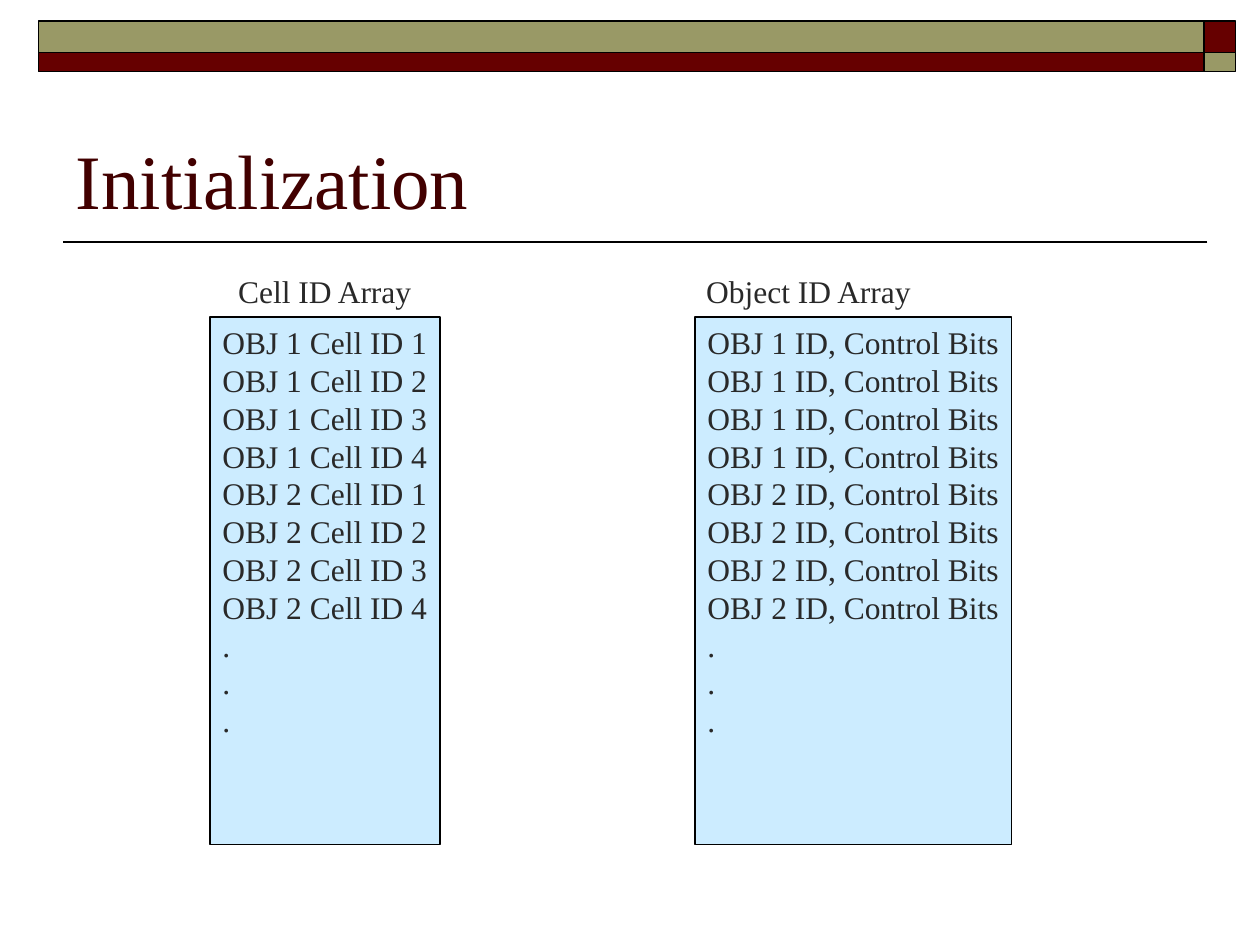
from dataclasses import dataclass
from pptx import Presentation
from pptx.dml.color import RGBColor as Rgb
from pptx.enum import shapes, text
from pptx.oxml import xmlchemy as xml
from pptx.util import Pt


@dataclass(frozen=True)
class Theme:
    """Colours, font and type sizes of the slide."""
    wine: Rgb = Rgb(0x66, 0x00, 0x00)
    olive: Rgb = Rgb(0x99, 0x99, 0x66)
    ice: Rgb = Rgb(0xCC, 0xEC, 0xFF)
    line: Rgb = Rgb(0x00, 0x00, 0x00)
    title: Rgb = Rgb(0x42, 0x00, 0x00)
    ink: Rgb = Rgb(0x29, 0x29, 0x29)
    face: str = "Times New Roman"
    head: float = 44
    body: float = 18
    lead: float = 21.6


THEME = Theme()


def style(para, size, color):
    """Set the font of a paragraph."""
    font = para.font
    font.name, font.size, font.color.rgb = THEME.face, Pt(size), color
    para.alignment = text.PP_ALIGN.LEFT


def rect(slide, box, fill, width):
    """Add a filled, outlined rectangle."""
    item = slide.shapes.add_shape(shapes.MSO_SHAPE.RECTANGLE, *map(Pt, box))
    item.shadow.inherit = False
    item.fill.solid()
    item.fill.fore_color.rgb = fill
    item.line.color.rgb = THEME.line
    item.line.width = Pt(width)


def label(slide, box, rows):
    """Add a text box with one paragraph per row."""
    frame = slide.shapes.add_textbox(*map(Pt, box)).text_frame
    frame.word_wrap = False
    frame.auto_size = text.MSO_AUTO_SIZE.SHAPE_TO_FIT_TEXT
    frame.text = "\n".join(rows)
    for para in frame.paragraphs:
        style(para, THEME.body, THEME.ink)
        para.line_spacing = Pt(THEME.lead)


def banner(slide, box):
    """Draw the two-row band with a contrasting square end."""
    left, top, width, height = box
    end = 18
    for y, high, main, tip in (
        (top, end, THEME.olive, THEME.wine),
        (top + end, height - end, THEME.wine, THEME.olive),
    ):
        rect(slide, (left, y, width - end, high), main, 1)
        rect(slide, (left + width - end, y, end, high), tip, 1)


def heading(slide, box, words):
    """Place the title and the rule below it."""
    left, top, width, height = box
    title = slide.shapes.title
    title.left, title.top, title.width, title.height = map(Pt, box)
    frame = title.text_frame
    frame.text = words
    frame.auto_size = text.MSO_AUTO_SIZE.NONE
    frame.vertical_anchor = text.MSO_ANCHOR.BOTTOM
    style(frame.paragraphs[0], THEME.head, THEME.title)
    y = top + height + 6.25
    rule = slide.shapes.add_connector(
        shapes.MSO_CONNECTOR.STRAIGHT,
        Pt(left + width + 6), Pt(y), Pt(left), Pt(y))
    rule.line.color.rgb = THEME.line
    rule.line.width = Pt(1)
    rule._element.spPr.append(xml.OxmlElement("a:effectLst"))


def column(slide, box, name, spot, rows):
    """Draw a named array, its name placed by left and width."""
    left, top, width, height = box
    rect(slide, box, THEME.ice, 0.75)
    label(slide, (spot[0], top - 29.2, spot[1], 28.8), [name])
    label(slide, (left, top, width, 244.8), rows + ["."] * 3)


def main():
    """Build and save the slide."""
    deck = Presentation()
    deck.slide_width, deck.slide_height = Pt(720), Pt(540)
    slide = deck.slides.add_slide(deck.slide_layouts[5])
    banner(slide, (22, 12, 684, 29))
    heading(slide, (36, 42, 648, 90), "Initialization")
    pairs = [(obj, cell) for obj in (1, 2) for cell in range(1, 5)]
    column(slide, (120, 181.2, 131.5, 301.5), "Cell ID Array", (129, 114.5),
           [f"OBJ {obj} Cell ID {cell}" for obj, cell in pairs])
    column(slide, (397.2, 181.2, 181, 301.5), "Object ID Array", (396.5, 132.5),
           [f"OBJ {obj} ID, Control Bits" for obj, cell in pairs])
    deck.save("out.pptx")


if __name__ == "__main__":
    main()
